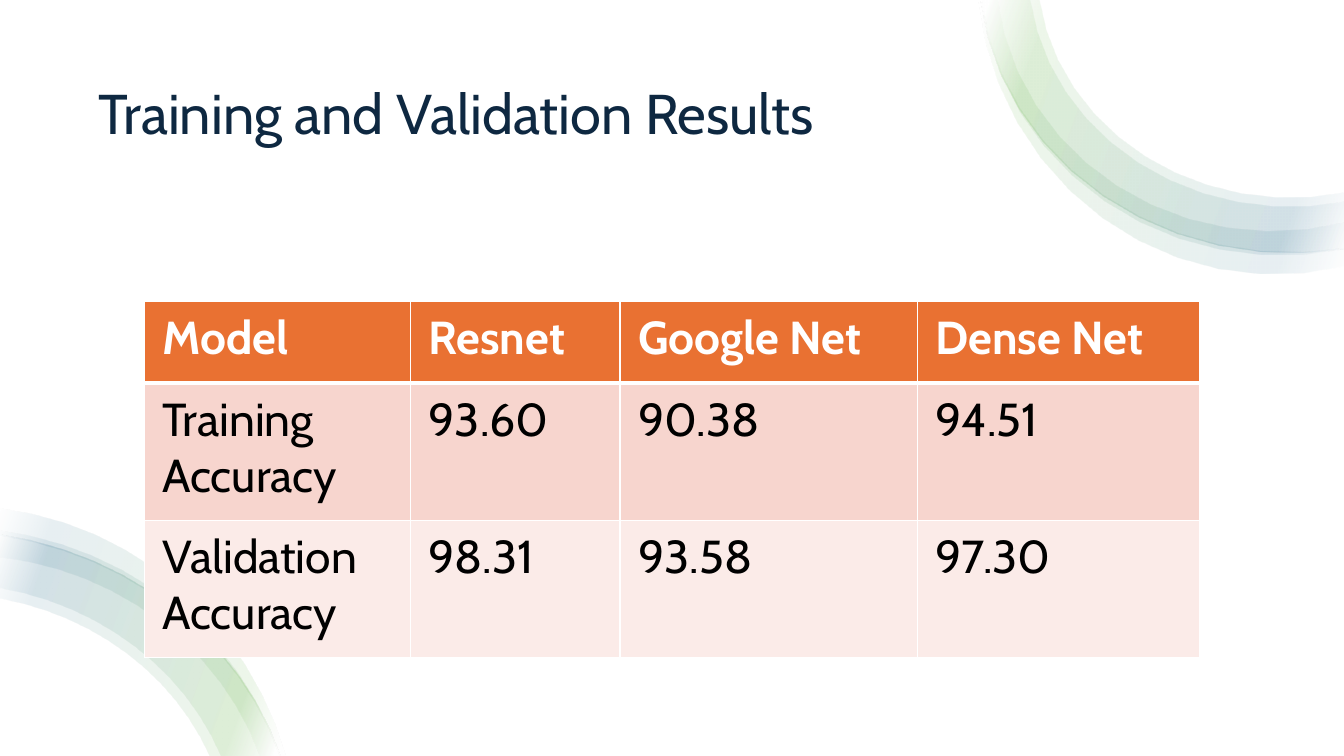
from math import acos, asin, cos, sin

from lxml import etree
from pptx import Presentation
from pptx.dml.color import RGBColor
from pptx.enum.text import MSO_ANCHOR, PP_ALIGN
from pptx.oxml import parse_xml
from pptx.oxml.ns import nsdecls, qn
from pptx.util import Inches, Pt

WHITE = RGBColor(0xFF, 0xFF, 0xFF)
BLACK = RGBColor(0, 0, 0)
NAVY = RGBColor(0x0E, 0x28, 0x41)
ORANGE = RGBColor(0xE9, 0x71, 0x32)
ROSE = RGBColor(0xF7, 0xD5, 0xCE)
PALE_ROSE = RGBColor(0xFB, 0xEB, 0xE8)
GREEN = RGBColor(0x4E, 0xA7, 0x2E)
TEAL = RGBColor(0x15, 0x60, 0x82)
FONT = "Cabin"
WIDTH, HEIGHT = 13.33, 7.5


def ribbon_edge(ellipse, scale, shift, slide_corner):
    """Points of an elliptic arc between the two slide edges that meet in a corner."""
    center_x, radius_x, bottom = ellipse
    center_y = -0.3
    radius_y = bottom - center_y
    edge_x, edge_y = [(edge - move) / scale for edge, move in zip(slide_corner, shift)]
    start = asin((edge_y - center_y) / radius_y)
    end = acos((center_x - edge_x) / radius_x)
    steps = 12
    points = []
    for step in range(steps + 1):
        angle = start + (end - start) * step / steps
        x = shift[0] + scale * (center_x - radius_x * cos(angle))
        y = shift[1] + scale * (center_y + radius_y * sin(angle))
        points.append((Inches(x), Inches(y)))
    return points


def set_border(cell, side, points):
    line = etree.SubElement(cell._tc.get_or_add_tcPr(), qn(f"a:{side}"), w=str(Pt(points)))
    fill = etree.SubElement(line, qn("a:solidFill"))
    etree.SubElement(fill, qn("a:srgbClr"), val=str(WHITE))


presentation = Presentation()
presentation.slide_width = Inches(WIDTH)
presentation.slide_height = Inches(HEIGHT)
slide = presentation.slides.add_slide(presentation.slide_layouts[5])
slide.background.fill.solid()
slide.background.fill.fore_color.rgb = WHITE

# Title
title = slide.shapes.title
title.left, title.top = Inches(0.88), Inches(0.5)
title.width, title.height = Inches(11.57), Inches(1.3)
title.text_frame.text = "Training and Validation Results"
title.text_frame.vertical_anchor = MSO_ANCHOR.MIDDLE
paragraph = title.text_frame.paragraphs[0]
paragraph.alignment = PP_ALIGN.LEFT
paragraph.line_spacing = 0.9
paragraph.font.name = FONT
paragraph.font.size = Pt(40)
paragraph.font.color.rgb = NAVY

# Ribbons: outer and inner ellipse, each as center x, radius x, lowest y
ribbons = [
    ((12.79, 3.08, 2.51), (12.79, 2.5, 1.96)),
    ((12.79, 3.08, 2.51), (12.79, 2.59, 2.05)),
    ((12.7, 2.98, 2.53), (12.62, 2.74, 2.29)),
    ((12.64, 2.95, 2.72), (12.8, 3.08, 2.5)),
]
# Placements: scale, shift, slide corner, gradient angle
placements = [
    (1, (0, 0), (WIDTH, 0), 20),
    (-1.14, (14.01, 8.12), (0, HEIGHT), 200),
]
gradient_stops = [(2, WHITE), (16, GREEN), (85, TEAL), (100, WHITE)]
stops_xml = "".join(
    f'<a:gs pos="{position * 1000}"><a:srgbClr val="{color}"><a:alpha val="10000"/></a:srgbClr></a:gs>'
    for position, color in gradient_stops
)
for scale, shift, slide_corner, gradient_angle in placements:
    for outer, inner in ribbons:
        outline = ribbon_edge(outer, scale, shift, slide_corner)
        outline += reversed(ribbon_edge(inner, scale, shift, slide_corner))
        builder = slide.shapes.build_freeform(*outline[0])
        builder.add_line_segments(outline[1:], close=True)
        ribbon = builder.convert_to_shape()
        ribbon.shadow.inherit = False
        ribbon.line.fill.background()
        ribbon.fill.solid()
        properties = ribbon._element.spPr
        gradient = parse_xml(
            f'<a:gradFill {nsdecls("a")} rotWithShape="1"><a:gsLst>{stops_xml}</a:gsLst>'
            f'<a:lin ang="{gradient_angle * 60000}" scaled="0"/></a:gradFill>'
        )
        properties.replace(properties.find(qn("a:solidFill")), gradient)

# Results table
results = [
    ["Model", "Resnet", "Google Net", "Dense Net"],
    ["Training Accuracy", "93.60", "90.38", "94.51"],
    ["Validation Accuracy", "98.31", "93.58", "97.30"],
]
column_widths = [2.64, 2.08, 2.95, 2.8]
row_heights = [0.81, 1.36, 1.36]
row_fills = [ORANGE, ROSE, PALE_ROSE]
table = slide.shapes.add_table(
    3, 4, Inches(1.43), Inches(2.99), Inches(10.47), Inches(3.52)
).table
for column, width in zip(table.columns, column_widths):
    column.width = Inches(width)
for row_index, row in enumerate(table.rows):
    row.height = Inches(row_heights[row_index])
    is_header = row_index == 0
    for cell, text in zip(row.cells, results[row_index]):
        set_border(cell, "lnL", 1)
        set_border(cell, "lnR", 1)
        set_border(cell, "lnT", 3 if row_index == 1 else 1)
        set_border(cell, "lnB", 3 if is_header else 1)
        cell.fill.solid()
        cell.fill.fore_color.rgb = row_fills[row_index]
        cell.margin_left = cell.margin_right = Inches(0.18)
        cell.margin_top = cell.margin_bottom = Inches(0.09)
        cell.text = text
        paragraph = cell.text_frame.paragraphs[0]
        paragraph.font.name = FONT
        paragraph.font.size = Pt(33)
        paragraph.font.bold = is_header
        paragraph.font.color.rgb = WHITE if is_header else BLACK

presentation.save("out.pptx")
